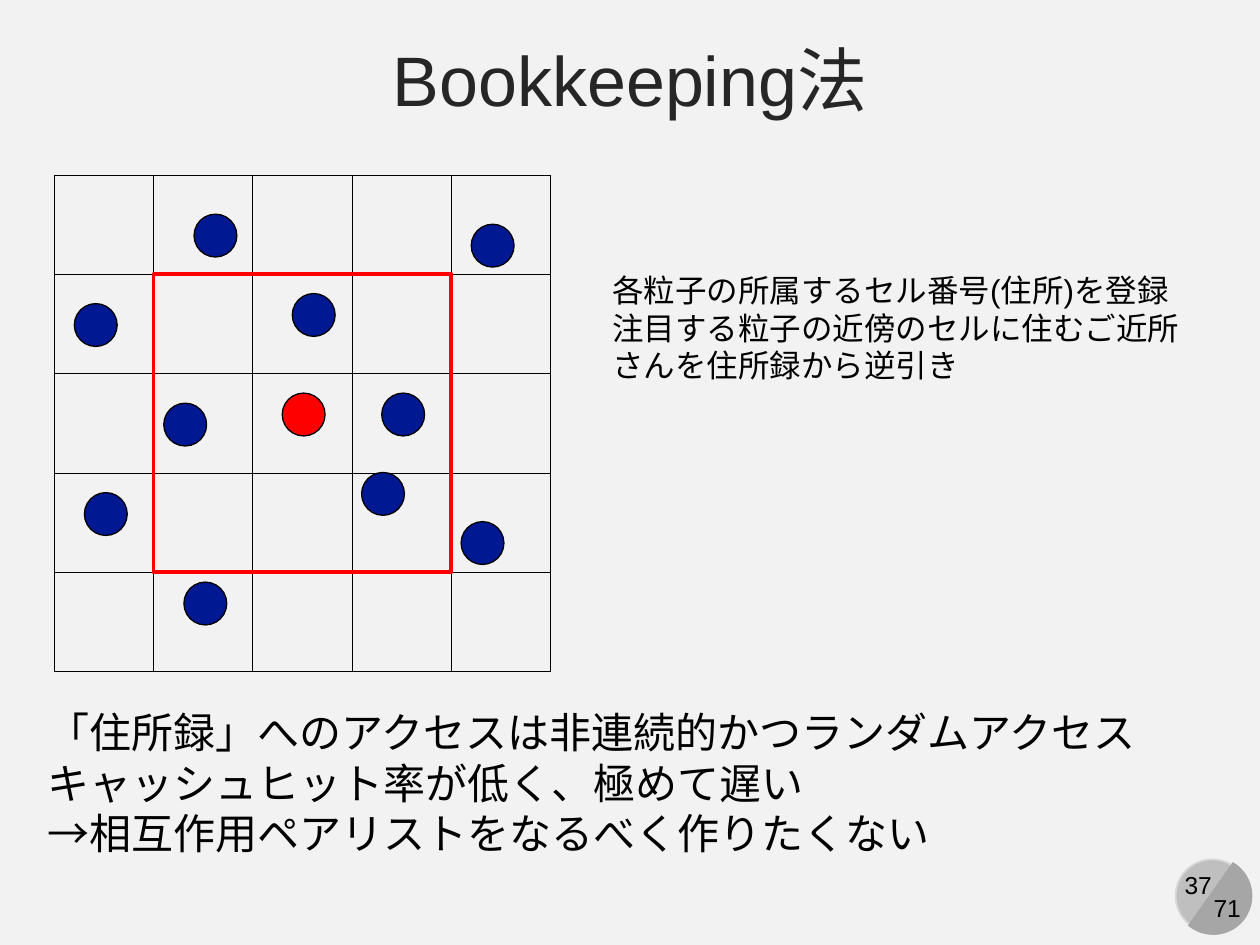
from dataclasses import dataclass

from lxml.etree import SubElement
from pptx import Presentation
from pptx.dml.color import RGBColor
from pptx.enum.shapes import MSO_CONNECTOR as Connector, MSO_SHAPE as Shape
from pptx.enum.text import MSO_ANCHOR as Anchor, MSO_AUTO_SIZE as AutoSize, PP_ALIGN as Align
from pptx.oxml.ns import qn
from pptx.util import Inches, Pt


@dataclass(frozen=True)
class Theme:
    font: str = "Arial"
    background: str = "F2F2F2"
    title: str = "262626"
    ink: str = "000000"
    particle: str = "011893"
    focus: str = "FF0000"
    badge: str = "BFBFBF"
    badge_edge: str = "D9D9D9"
    badge_shade: str = "A6A6A6"
    title_size: int = 40
    summary_size: int = 24
    note_size: int = 18
    number_size: int = 14


class SlideBuilder:
    def __init__(self, slide, theme):
        self.slide = slide
        self.theme = theme
        fill = slide.background.fill
        fill.solid()
        fill.fore_color.rgb = RGBColor.from_string(theme.background)

    def shape(self, kind, left, top, width, height, fill=None, line=None, weight=0.75):
        shape = self.slide.shapes.add_shape(
            kind, Inches(left), Inches(top), Inches(width), Inches(height))
        shape.shadow.inherit = False
        if fill:
            shape.fill.solid()
            shape.fill.fore_color.rgb = RGBColor.from_string(fill)
        else:
            shape.fill.background()
        if line:
            shape.line.color.rgb = RGBColor.from_string(line)
            shape.line.width = Pt(weight)
        else:
            shape.line.fill.background()
        return shape

    def line(self, x1, y1, x2, y2, weight=0.5):
        line = self.slide.shapes.add_connector(
            Connector.STRAIGHT, Inches(x1), Inches(y1), Inches(x2), Inches(y2))
        line.line.color.rgb = RGBColor.from_string(self.theme.ink)
        line.line.width = Pt(weight)
        SubElement(line._element.spPr, qn("a:effectLst"))

    def text(self, left, top, width, height, lines, size, color=None,
             align=Align.LEFT, anchor=Anchor.TOP, wrap=True, grow=True):
        box = self.slide.shapes.add_textbox(
            Inches(left), Inches(top), Inches(width), Inches(height))
        frame = box.text_frame
        frame.word_wrap = wrap
        frame.auto_size = AutoSize.SHAPE_TO_FIT_TEXT if grow else AutoSize.NONE
        frame.vertical_anchor = anchor
        for index, line in enumerate(lines):
            paragraph = frame.add_paragraph() if index else frame.paragraphs[0]
            paragraph.alignment = align
            run = paragraph.add_run()
            run.text = line
            run.font.name = self.theme.font
            run.font.size = Pt(size)
            run.font.color.rgb = RGBColor.from_string(color or self.theme.ink)


def main():
    presentation = Presentation()
    presentation.slide_width, presentation.slide_height = Inches(10), Inches(7.5)
    theme = Theme()
    builder = SlideBuilder(
        presentation.slides.add_slide(presentation.slide_layouts[6]), theme)

    # Page number badge
    builder.shape(Shape.OVAL, 9.33, 6.82, 0.58, 0.58, theme.badge, theme.badge_edge, 1)
    builder.text(9.29, 6.86, 0.44, 0.34, ["37"], theme.number_size,
                 align=Align.CENTER, wrap=False)
    chord = builder.shape(Shape.CHORD, 9.32, 6.8, 0.62, 0.62, theme.badge_shade)
    chord.adjustments[0], chord.adjustments[1] = 27, 141.42
    chord.rotation = 255
    builder.text(9.53, 7.04, 0.42, 0.34, ["71"], theme.number_size,
                 align=Align.CENTER, wrap=False)

    # Title
    builder.text(0, 0.21, 10, 0.82, ["Bookkeeping法"], theme.title_size, theme.title,
                 align=Align.CENTER, anchor=Anchor.MIDDLE, grow=False)

    # Cell grid
    left, top, side, cells = 0.43, 1.39, 3.94, 5
    cell = side / cells
    for index in range(cells + 1):
        offset = index * cell
        builder.line(left + offset, top, left + offset, top + side)
        builder.line(left, top + offset, left + side, top + offset)

    # Particles, with the one of interest in the middle cell
    diameter = 0.34
    particles = [(3.03, 3.12), (3.74, 1.78), (2.32, 2.33), (1.54, 1.7), (1.3, 3.2),
                 (2.87, 3.75), (3.66, 4.14), (1.46, 4.62), (0.67, 3.91), (0.59, 2.41)]
    builder.shape(Shape.OVAL, 2.24, 3.12, diameter, diameter, theme.focus, theme.ink)
    for x, y in particles:
        builder.shape(Shape.OVAL, x, y, diameter, diameter, theme.particle, theme.ink)

    # Neighbouring cells
    builder.shape(Shape.RECTANGLE, left + cell, top + cell, 3 * cell, 3 * cell,
                  line=theme.focus, weight=2.25)

    # Explanations
    builder.text(0.28, 5.56, 8.95, 1.31, [
        "「住所録」へのアクセスは非連続的かつランダムアクセス",
        "キャッシュヒット率が低く、極めて遅い",
        "→相互作用ペアリストをなるべく作りたくない",
    ], theme.summary_size, wrap=False)
    builder.text(4.76, 2.1, 4.8, 1.01, [
        "各粒子の所属するセル番号(住所)を登録",
        "注目する粒子の近傍のセルに住むご近所さんを住所録から逆引き",
    ], theme.note_size)

    presentation.save("out.pptx")


if __name__ == "__main__":
    main()
